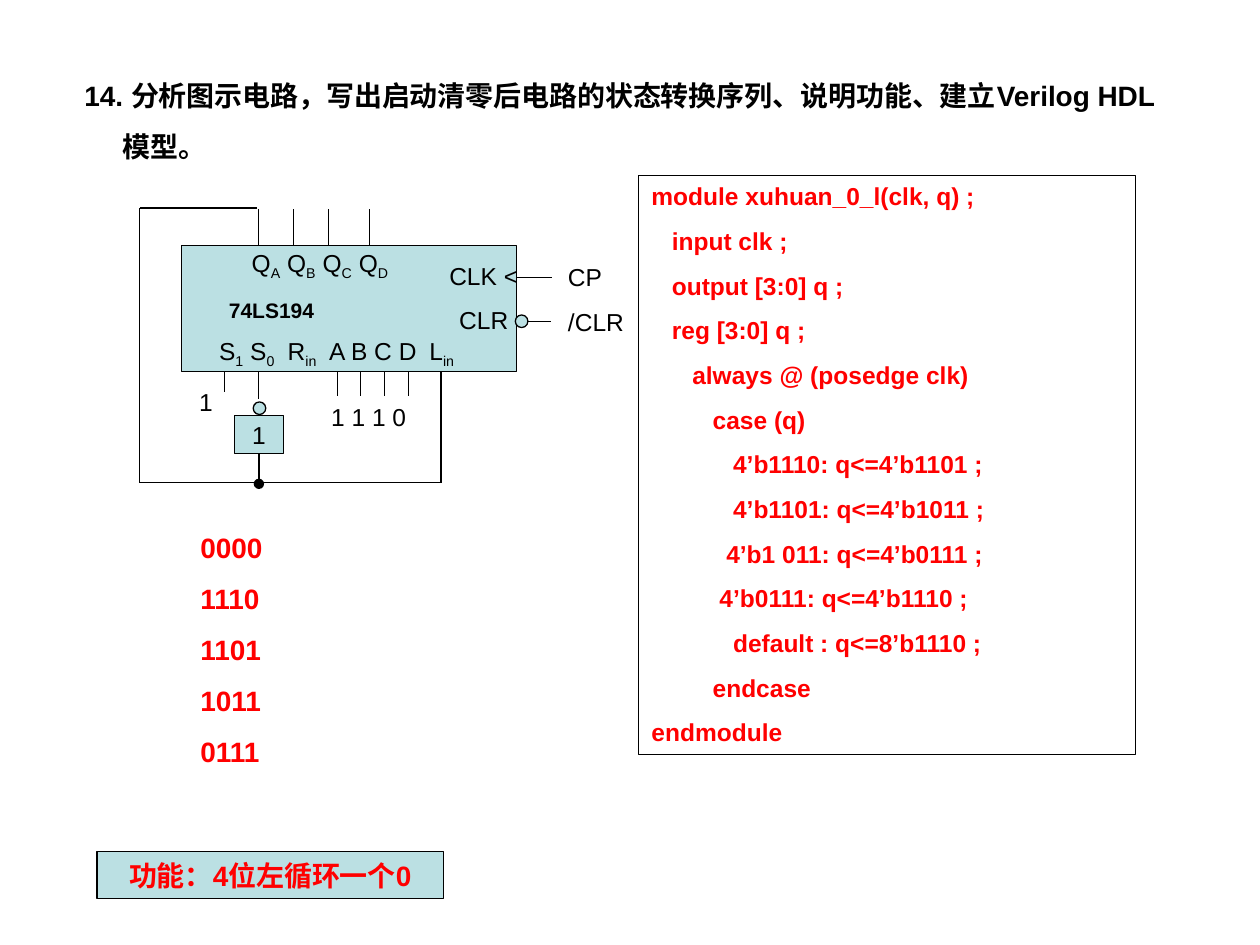
import pptx
import pptx.util
import pptx.dml.color
import pptx.enum.shapes
import pptx.enum.text
import pptx.oxml.ns
import lxml.etree

COLOURS = {"ink": "000000", "answer": "FF0000", "chip": "BBE0E3"}
FONT = "Arial"
CELL = 0.1  # the slide is a grid of 100 columns by 75 rows
COLUMNS, ROWS = 100, 75
SHAPES = pptx.enum.shapes.MSO_SHAPE
ALIGN = pptx.enum.text.PP_ALIGN
ANCHOR = pptx.enum.text.MSO_ANCHOR

QUESTION = ["14. 分析图示电路，写出启动清零后电路的状态转换序列、说明功能、建立Verilog HDL", "模型。"]
STATES = ["0000", "1110", "1101", "1011", "0111"]
FUNCTION = "功能：4位左循环一个0"
# Each code line: indent in character widths, text
CODE = [
    (0, "module xuhuan_0_l(clk, q) ;"),
    (3, "input clk ;"),
    (3, "output [3:0] q ;"),
    (3, "reg [3:0] q ;"),
    (6, "always @ (posedge clk)"),
    (9, "case (q)"),
    (12, "4’b1110: q<=4’b1101 ;"),
    (12, "4’b1101: q<=4’b1011 ;"),
    (11, "4’b1 011: q<=4’b0111 ;"),
    (10, "4’b0111: q<=4’b1110 ;"),
    (12, "default : q<=8’b1110 ;"),
    (9, "endcase"),
    (0, "endmodule"),
]
CODE_INDENT = 0.054
GAP_SHARE = 0.62  # paragraph gap as a share of the text size


def grid(cells):
    return pptx.util.Inches(cells * CELL)


def colour(name):
    return pptx.dml.color.RGBColor.from_string(COLOURS[name])


def add_xml(parent, tag, **attributes):
    return lxml.etree.SubElement(parent, pptx.oxml.ns.qn(tag), **attributes)


def place(shape, box):
    shape.left, shape.top, shape.width, shape.height = map(grid, box)


def format_text(shape, size, ink="ink", bold=False, align=ALIGN.LEFT,
                anchor=ANCHOR.TOP, indents=(), side=0.1):
    frame = shape.text_frame
    frame.word_wrap = True
    frame.auto_size = pptx.enum.text.MSO_AUTO_SIZE.NONE
    frame.vertical_anchor = anchor
    frame.margin_left = frame.margin_right = pptx.util.Inches(side)
    frame.margin_top = frame.margin_bottom = pptx.util.Inches(0.05)
    for index, para in enumerate(frame.paragraphs):
        para.alignment = align
        para.space_before = pptx.util.Pt(round(size * GAP_SHARE, 1))
        indent = indents[index] if indents else 0
        properties = para._p.get_or_add_pPr()
        properties.set("marL", str(pptx.util.Inches(indent)))
        properties.set("indent", "0")
        add_xml(properties, "a:buNone")
        for span in para.runs:
            span.font.name = FONT
            span.font.size = pptx.util.Pt(size)
            span.font.bold = bold
            span.font.color.rgb = colour(ink)


def add_block(page, box, kind=SHAPES.RECTANGLE):
    block = page.shapes.add_shape(kind, *map(grid, box))
    block.shadow.inherit = False
    block.fill.solid()
    block.fill.fore_color.rgb = colour("chip")
    block.line.color.rgb = colour("ink")
    block.line.width = pptx.util.Pt(0.75)
    return block


def fill_question(page, box):
    title = page.shapes.title
    place(title, box)
    title.text_frame.text = "\n".join(QUESTION)
    format_text(title, 16, bold=True, indents=(0, 0.3))


def fill_states(page, box):
    body = page.placeholders[1]
    place(body, box)
    body.text_frame.text = "\n".join(STATES)
    format_text(body, 16, "answer", True, anchor=ANCHOR.MIDDLE)


def fill_code(page, box):
    body = page.placeholders[2]
    place(body, box)
    body.line.color.rgb = colour("ink")
    body.line.width = pptx.util.Pt(0.75)
    body.text_frame.text = "\n".join(text for _, text in CODE)
    format_text(body, 14, "answer", True,
                indents=[steps * CODE_INDENT for steps, _ in CODE])


def add_function(page, box):
    banner = add_block(page, box)
    banner.text_frame.text = FUNCTION
    format_text(banner, 16, "answer", True, ALIGN.CENTER, ANCHOR.MIDDLE)


def add_circuit(page, box):
    left, top = box[:2]

    def inside(column, row, width, height):
        return left + column, top + row, width, height

    def wire(x1, y1, x2, y2):
        line = page.shapes.add_connector(
            pptx.enum.shapes.MSO_CONNECTOR.STRAIGHT,
            grid(left + x1), grid(top + y1), grid(left + x2), grid(top + y2))
        line.line.color.rgb = colour("ink")
        line.line.width = pptx.util.Pt(0.75)
        add_xml(line._element.spPr, "a:effectLst")
        return line

    def label(area, text, size=14, **style):
        # Text between bars is subscript
        note = page.shapes.add_textbox(*map(grid, inside(*area)))
        pieces = text.split("|")
        note.text_frame.text = pieces[0]
        para = note.text_frame.paragraphs[0]
        for index, piece in enumerate(pieces[1:], 1):
            if not piece:
                continue
            span = para.add_run()
            span.text = piece
            if index % 2:
                span._r.get_or_add_rPr().set("baseline", "-25000")
        format_text(note, size, **style)

    # Chip and its pin names
    chip_top, chip_bottom, chip_right = 3.2, 13.2, 30.1
    add_block(page, inside(3.5, chip_top, 26.6, 10))
    label((6.2, 2.9, 16.6, 3.7), "Q|A| Q|B| Q|C| Q|D|", align=ALIGN.CENTER)
    for column, width, pins in ((5.5, 6.5, "S|1| S|0|"), (10.95, 4.5, "R|in|"),
                                (14.25, 9, "A B C D"), (22.2, 4.5, "L|in|")):
        label((column, 9.9, width, 3.7), pins)
    label((24.7, 3.9, 5.6, 6.9), "CLK <\nCLR", align=ALIGN.CENTER, side=0)
    label((4.9, 6.8, 11.5, 3), "74LS194", 12, bold=True, align=ALIGN.CENTER)

    # Clock and clear
    add_block(page, inside(30, 8.7, 1, 1), SHAPES.OVAL)
    wire(chip_right, 5.7, 32.9, 5.7)
    wire(31, 9.2, 32.8, 9.2)
    label((33.2, 4, 7.4, 6.9), "CP\n/CLR")

    # Output and input pins
    for column in (9.6, 12.4, 15.2, 18.4):
        wire(column, chip_top, column, 0.3)
    for column in (15.9, 17.7, 19.6, 21.5):
        wire(column, chip_bottom, column, 15.1)
    wire(6.9, chip_bottom, 6.9, 14.8)
    wire(9.6, chip_bottom, 9.6, 15.4)
    label((3.9, 13.9, 3.1, 3.4), "1", align=ALIGN.CENTER)
    label((14.4, 15.1, 8.5, 3.4), "1 1 1 0")

    # Feedback loop from QA to Lin
    loop_left, loop_top, loop_bottom, loop_right = 0.2, 0.2, 22, 24.1
    wire(9.5, loop_top, loop_left, loop_top)
    wire(loop_left, loop_top, loop_left, loop_bottom)
    wire(loop_left, loop_bottom, loop_right, loop_bottom)
    wire(loop_right, chip_bottom, loop_right, loop_bottom)

    # Inverter feeding S0
    inverter = add_block(page, inside(7.7, 16.7, 3.9, 3))
    inverter.text_frame.text = "1"
    format_text(inverter, 14, align=ALIGN.CENTER, anchor=ANCHOR.MIDDLE)
    add_block(page, inside(9.2, 15.6, 1, 1), SHAPES.OVAL)
    branch = wire(9.65, 19.7, 9.65, 22.1)
    branch.begin_connect(inverter, 2)
    add_xml(branch.line._get_or_add_ln(), "a:tailEnd", type="oval")


def main():
    deck = pptx.Presentation()
    deck.slide_width, deck.slide_height = grid(COLUMNS), grid(ROWS)
    page = deck.slides.add_slide(deck.slide_layouts[3])
    fill_question(page, (5.7, 5.7, 89, 7.7))
    fill_states(page, (14.9, 41.6, 8.1, 19.9))
    fill_code(page, (50.7, 13.9, 39.4, 46))
    add_circuit(page, (10.9, 16.3, 40.6, 22.1))
    add_function(page, (7.7, 67.6, 27.5, 3.7))
    deck.save("out.pptx")


if __name__ == "__main__":
    main()
